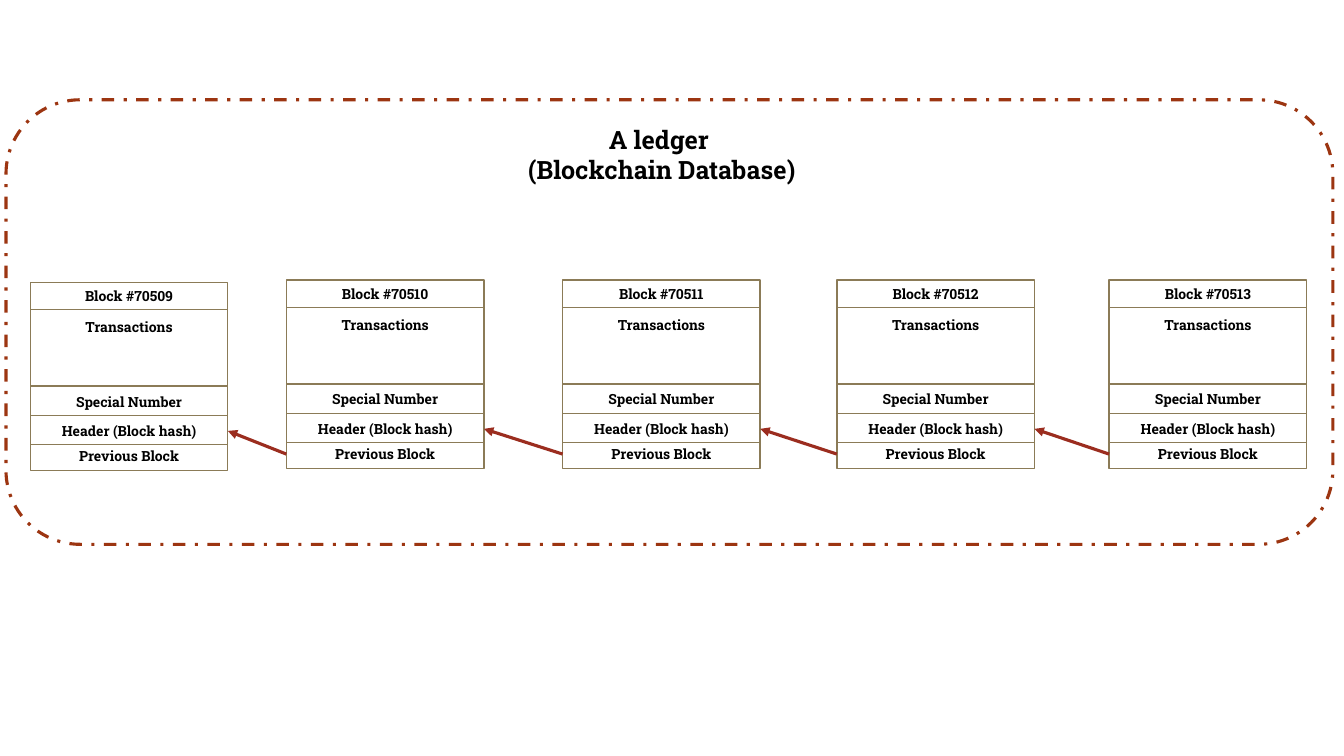
"""Build a slide showing a ledger as a chain of five linked blocks."""
import pptx
import pptx.util
import pptx.dml.color
import pptx.enum.dml
import pptx.enum.shapes
import pptx.enum.text
import pptx.oxml
import pptx.oxml.ns

Inches = pptx.util.Inches
FONT = "Roboto Slab"
BLOCK_LINE = "8B7B57"
ARROW_LINE = "9B2D1F"
LEDGER_LINE = "9C3511"
BLOCK_WIDTH, BLOCK_HEIGHT, LABEL_HEIGHT = 1.96, 1.87, 0.27
BLOCKS = [(0.3, 2.8), (2.84, 2.78), (5.58, 2.78), (8.3, 2.78), (11, 2.78)]
FIRST_NUMBER = 70509
RULE_OFFSETS = [0.27, 1.03, 1.32, 1.61]
LABEL_OFFSETS = {"Transactions": 0.31, "Special Number": 1.05,
                 "Header (Block hash)": 1.34, "Previous Block": 1.59}


def set_line(shape, color, width):
    """Give a shape or connector a solid line and no shadow."""
    shape.line.color.rgb = pptx.dml.color.RGBColor.from_string(color)
    shape.line.width = pptx.util.Pt(width)
    shape._element.spPr.append(pptx.oxml.parse_xml(
        f'<a:effectLst {pptx.oxml.ns.nsdecls("a")}/>'))


def add_text(text, left, top, width, height, size=10, color="000000", bold=True):
    """Add a centred text box, one paragraph per line of text."""
    box = slide.shapes.add_textbox(Inches(left), Inches(top), Inches(width), Inches(height))
    box.text_frame.word_wrap = True
    box.text_frame.auto_size = pptx.enum.text.MSO_AUTO_SIZE.SHAPE_TO_FIT_TEXT
    box.text_frame.text = text
    for paragraph in box.text_frame.paragraphs:
        paragraph.alignment = pptx.enum.text.PP_ALIGN.CENTER
        for run in paragraph.runs:
            run.font.name = FONT
            run.font.size = pptx.util.Pt(size)
            run.font.bold = bold
            run.font.color.rgb = pptx.dml.color.RGBColor.from_string(color)
    return box


presentation = pptx.Presentation()
presentation.slide_width = Inches(13.33)
presentation.slide_height = Inches(7.5)
slide = presentation.slides.add_slide(presentation.slide_layouts[6])
straight = pptx.enum.shapes.MSO_CONNECTOR.STRAIGHT

blocks = []
for index, (left, top) in enumerate(BLOCKS):
    frame = slide.shapes.add_shape(
        pptx.enum.shapes.MSO_SHAPE.RECTANGLE,
        Inches(left), Inches(top), Inches(BLOCK_WIDTH), Inches(BLOCK_HEIGHT))
    frame.fill.background()
    set_line(frame, BLOCK_LINE, 1)
    for offset in RULE_OFFSETS:
        rule = slide.shapes.add_connector(
            straight, Inches(left), Inches(top + offset),
            Inches(left + BLOCK_WIDTH), Inches(top + offset))
        set_line(rule, BLOCK_LINE, 1)
    offsets = {f"Block #{FIRST_NUMBER + index}": 0, **LABEL_OFFSETS}
    blocks.append({
        label: add_text(label, left, top + offset, BLOCK_WIDTH, LABEL_HEIGHT)
        for label, offset in offsets.items()})

for earlier, later in zip(blocks, blocks[1:]):
    source, target = later["Previous Block"], earlier["Header (Block hash)"]
    arrow = slide.shapes.add_connector(
        straight, source.left, source.top + source.height // 2,
        target.left + target.width, target.top + target.height // 2)
    arrow.begin_connect(source, 1)
    arrow.end_connect(target, 3)
    set_line(arrow, ARROW_LINE, 2.25)
    arrow.line._get_or_add_ln().append(pptx.oxml.parse_xml(
        f'<a:tailEnd {pptx.oxml.ns.nsdecls("a")} type="triangle"/>'))

ledger = slide.shapes.add_shape(
    pptx.enum.shapes.MSO_SHAPE.ROUNDED_RECTANGLE,
    Inches(0.06), Inches(0.99), Inches(13.16), Inches(4.41))
ledger.fill.background()
set_line(ledger, LEDGER_LINE, 2.25)
ledger.line.dash_style = pptx.enum.dml.MSO_LINE.DASH_DOT
add_text("A ledger \n(Blockchain Database)", 4.89, 1.18, 3.35, 0.71, size=18)

presentation.save("out.pptx")
